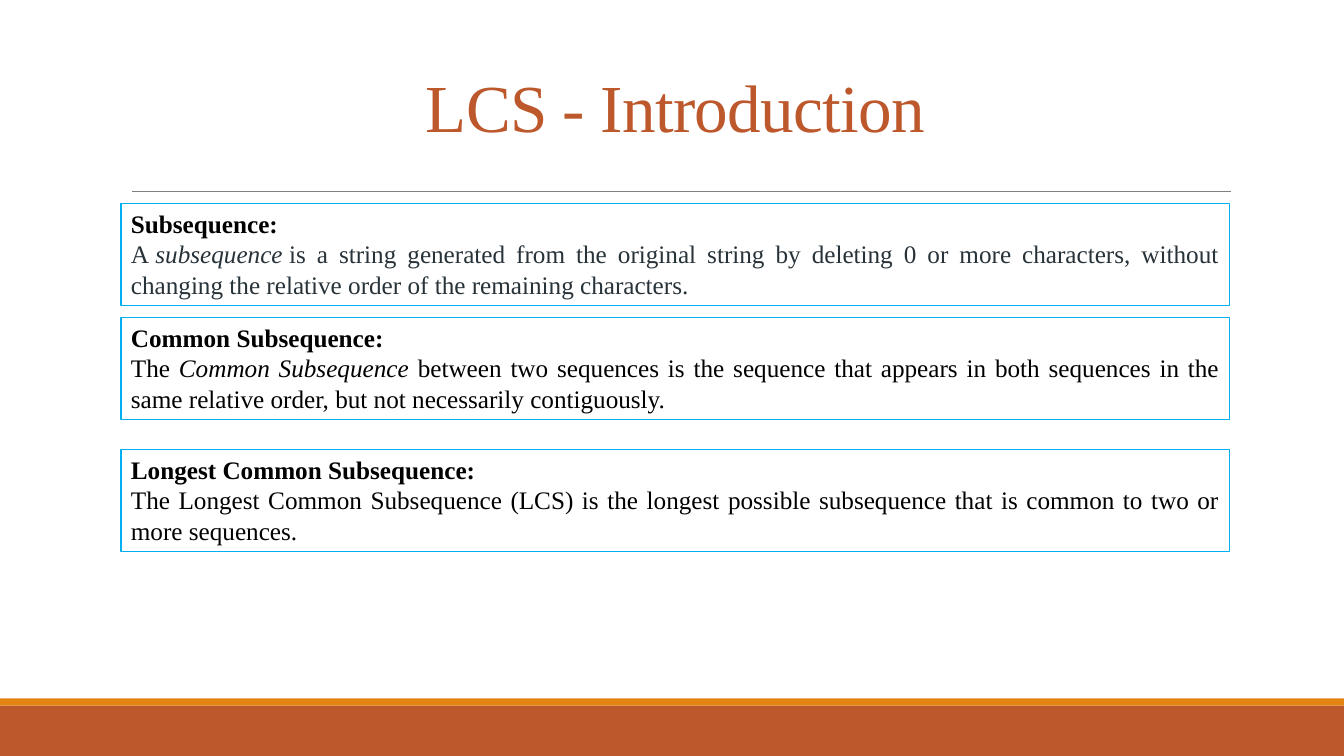
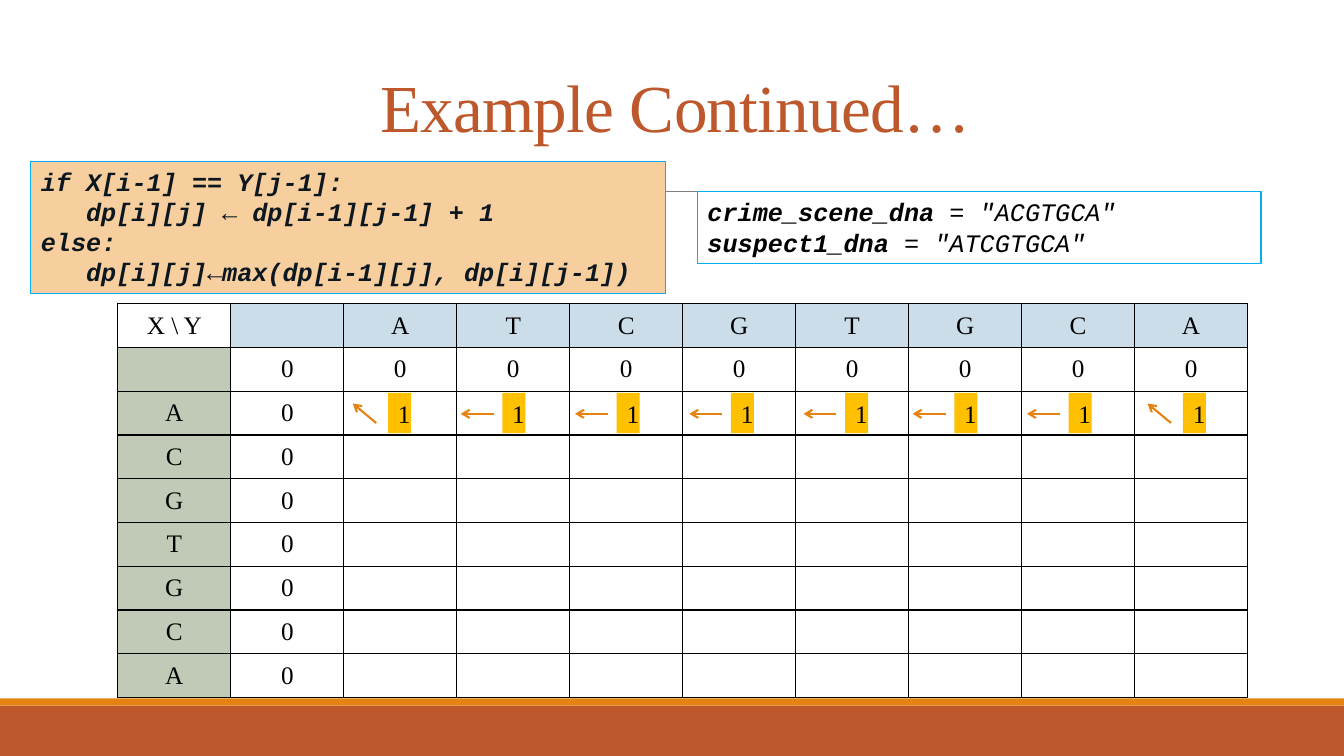
import lxml.etree
import pptx
import pptx.dml.color
import pptx.enum.shapes
import pptx.enum.text
import pptx.oxml.ns
import pptx.util

Cm = pptx.util.Cm
Pt = pptx.util.Pt
RGBColor = pptx.dml.color.RGBColor
ALIGN = pptx.enum.text.PP_ALIGN
ANCHOR = pptx.enum.text.MSO_ANCHOR
RECTANGLE = pptx.enum.shapes.MSO_SHAPE.RECTANGLE
STRAIGHT = pptx.enum.shapes.MSO_CONNECTOR.STRAIGHT
qn = pptx.oxml.ns.qn

RUST = RGBColor(0xBD, 0x58, 0x2C)
ORANGE = RGBColor(0xE4, 0x83, 0x12)
GREY = RGBColor(0x80, 0x80, 0x80)
CYAN = RGBColor(0x00, 0xB0, 0xF0)
BLACK = RGBColor(0x00, 0x00, 0x00)
SLATE = RGBColor(0x27, 0x32, 0x39)
NAVY = RGBColor(0x0D, 0x17, 0x1F)
PEACH = RGBColor(0xF7, 0xCE, 0x9D)
PALE_BLUE = RGBColor(0xCC, 0xDD, 0xEA)
SAGE = RGBColor(0xC1, 0xCA, 0xB6)
AMBER = RGBColor(0xFF, 0xC0, 0x00)

SERIF = "Times New Roman"
MONO = "Courier New"
SLIDE_WIDTH, SLIDE_HEIGHT = Cm(33.87), Cm(19.05)
CODE_INDENT = Cm(1.14)

TITLE_FONT = {"name": SERIF, "size": Pt(48)}
BODY_FONT = {"name": SERIF, "size": Pt(18), "bold": False, "italic": False}
BOLD = {"bold": True}
ITALIC = {"italic": True}
CODE_FONT = {"name": MONO, "bold": True, "italic": True}
STRING_FONT = {"name": MONO, "italic": True}

DEFINITIONS = [
    (5.13, "Subsequence:", SLATE, [
        ("A\u00a0", {}), ("subsequence", ITALIC),
        ("\u00a0is a string generated from the original string by deleting 0 or more "
         "characters, without changing the relative order of the remaining characters.", {})]),
    (8.0, "Common Subsequence:", BLACK, [
        ("The ", {}), ("Common Subsequence", ITALIC),
        (" between two sequences is the sequence that appears in both sequences in the "
         "same relative order, but not necessarily contiguously.", {})]),
    (11.33, "Longest Common Subsequence:", BLACK, [
        ("The Longest Common Subsequence (LCS) is the longest possible subsequence that is "
         "common to two or more sequences.", {})]),
]
RECURRENCE = [
    (0, "if X[i-1] == Y[j-1]:"),
    (1, "dp[i][j] ← dp[i-1][j-1] + 1"),
    (0, "else:"),
    (1, "dp[i][j]←max(dp[i-1][j], dp[i][j-1])"),
]
CRIME_SCENE_DNA = "ACGTGCA"
SUSPECT_DNA = "ATCGTGCA"


def set_attributes(target, values):
    for name, value in values.items():
        setattr(target, name, value)


def add_run(paragraph, text, color=BLACK, style=None):
    run = paragraph.add_run()
    run.text = text
    set_attributes(run.font, {**BODY_FONT, **(style or {})})
    run.font.color.rgb = color
    return run


def add_rectangle(slide, box, fill=None, line=None):
    rectangle = slide.shapes.add_shape(RECTANGLE, *box)
    rectangle.shadow.inherit = False
    if fill is None:
        rectangle.fill.background()
    else:
        rectangle.fill.solid()
        rectangle.fill.fore_color.rgb = fill
    if line is None:
        rectangle.line.fill.background()
    else:
        rectangle.line.color.rgb = line
        rectangle.line.width = Pt(0.75)
    return rectangle


def add_line(slide, start, end, color, width, arrow=False):
    line = slide.shapes.add_connector(STRAIGHT, *start, *end)
    line.line.color.rgb = color
    line.line.width = width
    properties = line._element.spPr
    if arrow:
        lxml.etree.SubElement(properties.find(qn("a:ln")), qn("a:tailEnd"), type="arrow")
    lxml.etree.SubElement(properties, qn("a:effectLst"))


def add_text_panel(slide, box, paragraphs, fill=None):
    """Outlined box; each paragraph is (indent level, [(text, color, style), ...])."""
    frame = add_rectangle(slide, box, fill, CYAN).text_frame
    set_attributes(frame, {"word_wrap": True, "vertical_anchor": ANCHOR.TOP})
    for index, (level, runs) in enumerate(paragraphs):
        paragraph = frame.add_paragraph() if index else frame.paragraphs[0]
        paragraph.alignment = ALIGN.JUSTIFY
        paragraph._p.get_or_add_pPr().set("marL", str(level * CODE_INDENT))
        for run in runs:
            add_run(paragraph, *run)


def add_titled_slide(deck, text):
    slide = deck.slides.add_slide(deck.slide_layouts[5])
    band_top = Cm(17.78)
    stripe_height = Cm(0.18)
    add_rectangle(slide, (0, band_top, SLIDE_WIDTH, SLIDE_HEIGHT - band_top), RUST)
    add_rectangle(slide, (0, band_top - stripe_height, SLIDE_WIDTH, stripe_height), ORANGE)
    add_line(slide, (Cm(3.33), Cm(4.83)), (Cm(31.01), Cm(4.83)), GREY, Pt(0.5))

    title = slide.shapes.title
    set_attributes(title, {"left": Cm(3.05), "top": Cm(0.79),
                           "width": Cm(27.94), "height": Cm(4.04)})
    set_attributes(title.text_frame, {"word_wrap": True, "vertical_anchor": ANCHOR.MIDDLE})
    heading = title.text_frame.paragraphs[0]
    set_attributes(heading, {"alignment": ALIGN.CENTER, "line_spacing": 0.85})
    run = add_run(heading, text, RUST, TITLE_FONT)
    run._r.get_or_add_rPr().set("spc", "-50")
    return slide


def format_cell(cell, text, fill):
    properties = cell._tc.get_or_add_tcPr()
    for side in ("a:lnL", "a:lnR", "a:lnT", "a:lnB"):
        border = lxml.etree.SubElement(properties, qn(side), w=str(Pt(1)))
        solid = lxml.etree.SubElement(border, qn("a:solidFill"))
        lxml.etree.SubElement(solid, qn("a:srgbClr"), val=str(BLACK))
    if fill is None:
        cell.fill.background()
    else:
        cell.fill.solid()
        cell.fill.fore_color.rgb = fill
    cell.vertical_anchor = ANCHOR.MIDDLE
    paragraph = cell.text_frame.paragraphs[0]
    paragraph.alignment = ALIGN.CENTER
    if text:
        add_run(paragraph, text)
    else:
        paragraph.font.size = BODY_FONT["size"]


def add_dp_table(slide, box):
    """Draw the LCS grid with its zero borders; return the row height."""
    left, top, width, height = box
    header = ["X \\ Y", "", *SUSPECT_DNA]
    blanks = [""] * len(SUSPECT_DNA)
    rows = [header, ["", "0"] + ["0"] * len(SUSPECT_DNA)]
    rows += [[base, "0"] + blanks for base in CRIME_SCENE_DNA]

    grid = slide.shapes.add_table(len(rows), len(header), *box).table
    set_attributes(grid, {"first_row": False, "horz_banding": False})
    row_height = height // len(rows)
    for column in grid.columns:
        column.width = width // len(header)
    for r, row in enumerate(rows):
        grid.rows[r].height = row_height
        for c, text in enumerate(row):
            fill = None
            if r == 0 and c > 0:
                fill = PALE_BLUE
            elif r > 0 and c == 0:
                fill = SAGE
            format_cell(grid.cell(r, c), text, fill)
    return row_height


def add_step(slide, left, middle, diagonal):
    """Highlighted 1 whose left edge is given, with the arrow to its predecessor."""
    if diagonal:
        start, end = (left - Cm(0.3), middle + Cm(0.25)), (left - Cm(0.89), middle - Cm(0.24))
    else:
        start, end = (left - Cm(0.22), middle + Cm(0.02)), (left - Cm(1.05), middle + Cm(0.02))
    add_line(slide, start, end, ORANGE, Pt(1.5), arrow=True)

    height = Cm(1.02)
    value = add_rectangle(slide, (left, middle - height // 2, Cm(0.58), height), AMBER)
    set_attributes(value.text_frame, {"margin_left": Cm(0.25), "margin_right": 0,
                                      "word_wrap": False, "vertical_anchor": ANCHOR.MIDDLE})
    paragraph = value.text_frame.paragraphs[0]
    paragraph.alignment = ALIGN.LEFT
    add_run(paragraph, "1")


def add_first_row_steps(slide, left, middle):
    pitch = Cm(2.88)
    offsets = [Cm(6.81) + i * pitch for i in range(5)]
    offsets += [Cm(21.08) + i * pitch for i in range(3)]
    for offset, base in zip(offsets, SUSPECT_DNA):
        add_step(slide, left + offset, middle, base == CRIME_SCENE_DNA[0])


def build_introduction(deck):
    slide = add_titled_slide(deck, "LCS - Introduction")
    for top, term, color, meaning in DEFINITIONS:
        paragraphs = [(0, [(term, BLACK, BOLD)]),
                      (0, [(text, color, style) for text, style in meaning])]
        add_text_panel(slide, (Cm(3.05), Cm(top), Cm(27.94), Cm(2.57)), paragraphs)


def build_example(deck):
    slide = add_titled_slide(deck, "Example Continued…")
    code = [(level, [(text, NAVY, CODE_FONT)]) for level, text in RECURRENCE]
    add_text_panel(slide, (Cm(0.78), Cm(4.06), Cm(16), Cm(3.33)), code, PEACH)
    sequences = [("crime_scene_dna ", CRIME_SCENE_DNA), ("suspect1_dna ", SUSPECT_DNA)]
    assignments = [(0, [(name, BLACK, CODE_FONT), (f'= "{dna}"', BLACK, STRING_FONT)])
                   for name, dna in sequences]
    add_text_panel(slide, (Cm(17.58), Cm(4.83), Cm(14.2), Cm(1.8)), assignments)

    left, top = Cm(2.97), Cm(7.65)
    row_height = add_dp_table(slide, (left, top, Cm(28.47), Cm(9.93)))
    add_first_row_steps(slide, left, top + row_height * 5 // 2)


def main():
    deck = pptx.Presentation()
    set_attributes(deck, {"slide_width": SLIDE_WIDTH, "slide_height": SLIDE_HEIGHT})
    build_introduction(deck)
    build_example(deck)
    deck.save("out.pptx")


if __name__ == "__main__":
    main()
